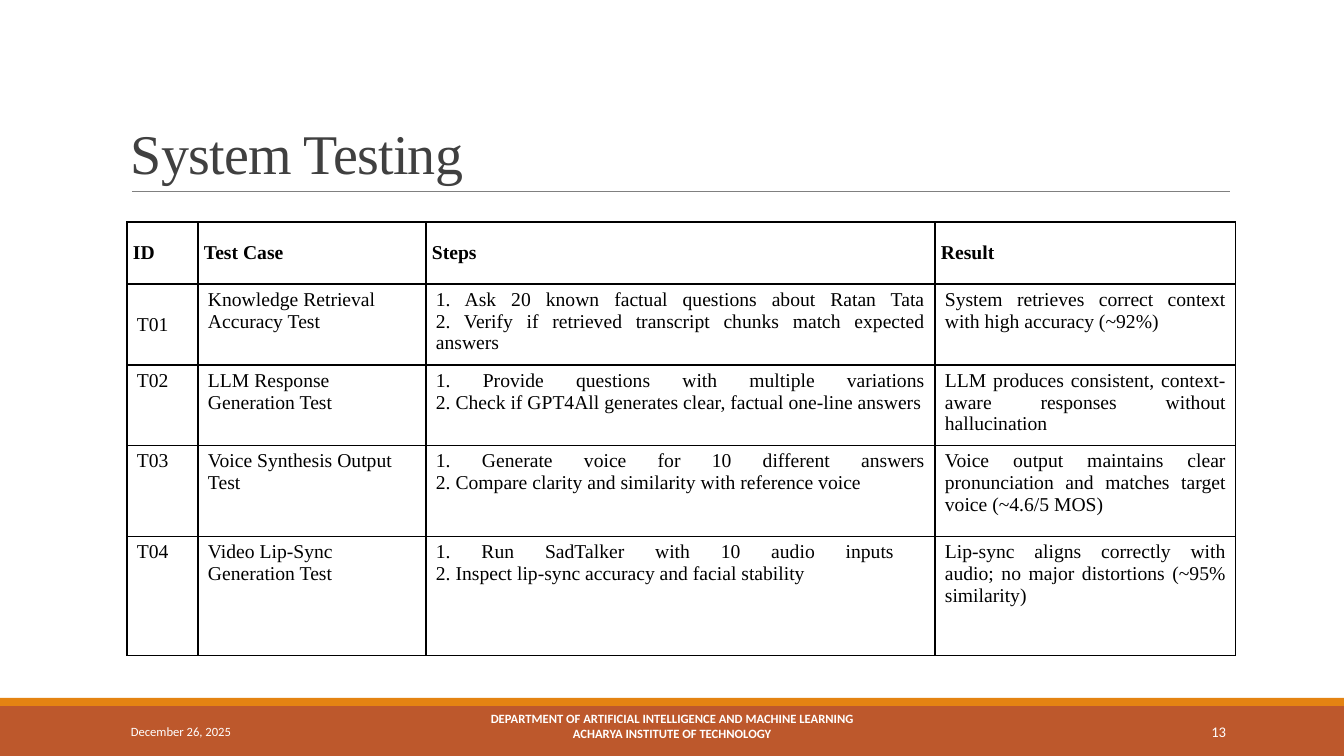
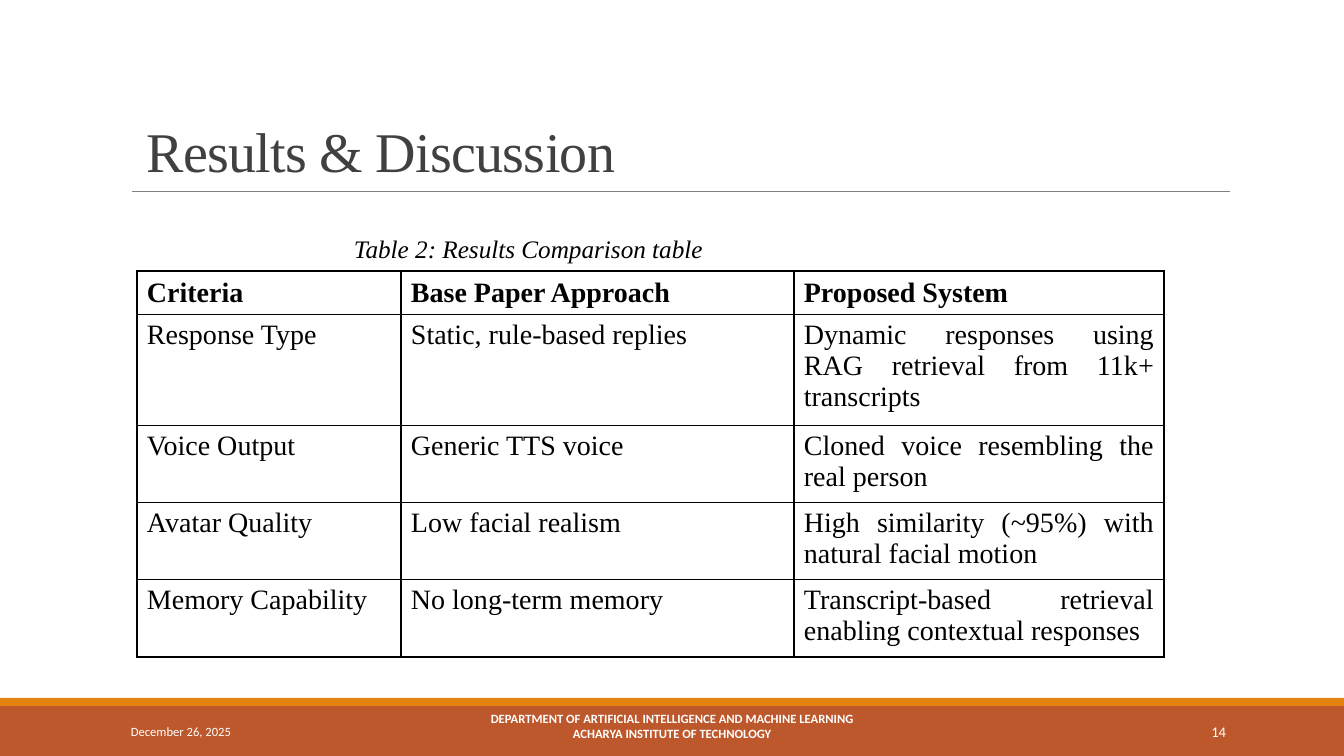
from copy import deepcopy

from lxml import etree
from pptx import Presentation
from pptx.dml.color import RGBColor
from pptx.enum.shapes import MSO_CONNECTOR, MSO_SHAPE
from pptx.enum.text import MSO_ANCHOR, PP_ALIGN
from pptx.oxml.ns import qn
from pptx.util import Emu, Pt

EMU_PER_PX = 914400 / 100.8
SLIDE_W, SLIDE_H = 1344, 756

RUST = RGBColor(0xBD, 0x58, 0x2C)
ORANGE = RGBColor(0xE4, 0x83, 0x12)
GREY = RGBColor(0x80, 0x80, 0x80)
CHARCOAL = RGBColor(0x40, 0x40, 0x40)
BLACK = RGBColor(0, 0, 0)
WHITE = RGBColor(0xFF, 0xFF, 0xFF)

LEFT, CENTER, RIGHT, JUSTIFY = PP_ALIGN.LEFT, PP_ALIGN.CENTER, PP_ALIGN.RIGHT, PP_ALIGN.JUSTIFY
TOP, MIDDLE, BOTTOM = MSO_ANCHOR.TOP, MSO_ANCHOR.MIDDLE, MSO_ANCHOR.BOTTOM
RECTANGLE, STRAIGHT = MSO_SHAPE.RECTANGLE, MSO_CONNECTOR.STRAIGHT

SERIF, SANS = "Times New Roman", "Calibri"
TITLE_FORMAT = {"name": SERIF, "size": Pt(40), "color": CHARCOAL}
CAPTION_FORMAT = {"name": SERIF, "size": Pt(18), "italic": True, "color": BLACK}
DATE_FORMAT = {"name": SANS, "size": Pt(9), "color": WHITE}
DEPARTMENT_FORMAT = {**DATE_FORMAT, "bold": True}
NUMBER_FORMAT = {**DATE_FORMAT, "size": Pt(10.5)}

DATE = "December 26, 2025"
DEPARTMENT = ("DEPARTMENT OF ARTIFICIAL INTELLIGENCE AND MACHINE LEARNING\n"
              "ACHARYA INSTITUTE OF TECHNOLOGY")

TEST_ROWS = [
    ("ID", "Test Case", "Steps", "Result"),
    ("T01", "Knowledge Retrieval Accuracy Test",
     "1. Ask 20 known factual questions about Ratan Tata\n"
     "2. Verify if retrieved transcript chunks match expected answers",
     "System retrieves correct context with high accuracy (~92%)"),
    ("T02", "LLM Response Generation Test",
     "1. Provide questions with multiple variations\n"
     "2. Check if GPT4All generates clear, factual one-line answers",
     "LLM produces consistent, context-aware responses without hallucination"),
    ("T03", "Voice Synthesis Output Test",
     "1. Generate voice for 10 different answers\n"
     "2. Compare clarity and similarity with reference voice",
     "Voice output maintains clear pronunciation and matches target voice (~4.6/5 MOS)"),
    ("T04", "Video Lip-Sync Generation Test",
     "1. Run SadTalker with 10 audio inputs \n"
     "2. Inspect lip-sync accuracy and facial stability",
     "Lip-sync aligns correctly with audio; no major distortions (~95% similarity)"),
]
RESULT_ROWS = [
    ("Criteria", "Base Paper Approach", "Proposed System"),
    ("Response Type", "Static, rule-based replies",
     "Dynamic responses using RAG retrieval from 11k+ transcripts"),
    ("Voice Output", "Generic TTS voice", "Cloned voice resembling the real person"),
    ("Avatar Quality", "Low facial realism",
     "High similarity (~95%) with natural facial motion"),
    ("Memory Capability", "No long-term memory",
     "Transcript-based retrieval enabling contextual responses"),
]


def px(length):
    return Emu(round(length * EMU_PER_PX))


def to_emu(box):
    return [px(length) for length in box]


def write_paragraph(paragraph, text, font_format, align):
    """Fill a paragraph; newlines become line breaks in the same format."""
    paragraph.text = text
    paragraph.alignment = align
    for run in paragraph.runs:
        for key, value in font_format.items():
            if key == "color":
                run.font.color.rgb = value
            else:
                setattr(run.font, key, value)
    for line_break in paragraph._p.findall(qn("a:br")):
        line_break.append(deepcopy(paragraph.runs[0]._r.rPr))


def add_text(slide, box, text, font_format, align=LEFT, anchor=MIDDLE):
    frame = slide.shapes.add_textbox(*to_emu(box)).text_frame
    frame.word_wrap = True
    frame.vertical_anchor = anchor
    write_paragraph(frame.paragraphs[0], text, font_format, align)
    return frame.paragraphs[0]


def add_band(slide, box, color):
    band = slide.shapes.add_shape(RECTANGLE, *to_emu(box))
    band.shadow.inherit = False
    band.fill.solid()
    band.fill.fore_color.rgb = color
    band.line.fill.background()


def add_title(slide, box, text):
    rule = slide.shapes.add_connector(STRAIGHT, *to_emu((132, 191, 1230, 191)))
    rule.line.color.rgb = GREY
    rule.line.width = Pt(0.5)
    etree.SubElement(rule._element.spPr, qn("a:effectLst"))
    title = add_text(slide, box, text, TITLE_FORMAT, anchor=BOTTOM)
    title.line_spacing = 0.85
    title.runs[0]._r.rPr.set("spc", "-50")


def add_footer(slide, box, number):
    left, top, width, height = box
    add_band(slide, box, RUST)
    add_band(slide, (left, top - 8, width, 8), ORANGE)
    add_text(slide, (left + 121, top + 6, 272, 40), DATE, DATE_FORMAT)
    add_text(slide, (left + 406, top, 532, 40), DEPARTMENT, DEPARTMENT_FORMAT, CENTER)
    add_text(slide, (left + 1092, top + 6, 144, 40), str(number), NUMBER_FORMAT, RIGHT)


def add_borders(cell):
    properties = cell._tc.get_or_add_tcPr()
    for index, side in enumerate(("lnL", "lnR", "lnT", "lnB")):
        border = etree.Element(qn(f"a:{side}"), w=str(Pt(1)))
        fill = etree.SubElement(border, qn("a:solidFill"))
        etree.SubElement(fill, qn("a:srgbClr"), val=str(BLACK))
        properties.insert(index, border)


def add_grid(slide, corner, widths, heights, rows, size, left_columns=(),
             header_margins=(10, 5), middle_cells=()):
    """Place a bordered table whose body is justified except in left_columns."""
    box = (*corner, sum(widths), sum(heights))
    table = slide.shapes.add_table(len(rows), len(widths), *to_emu(box)).table
    table.first_row = table.horz_banding = False
    for column, width in zip(table.columns, widths):
        column.width = px(width)
    for row, height in zip(table.rows, heights):
        row.height = px(height)
    for r, texts in enumerate(rows):
        across, down = header_margins if r == 0 else (10, 5)
        for c, text in enumerate(texts):
            cell = table.cell(r, c)
            cell.fill.background()
            add_borders(cell)
            cell_format = {
                "margin_left": px(across), "margin_right": px(across),
                "margin_top": px(down), "margin_bottom": px(down),
                "vertical_anchor": MIDDLE if r == 0 or (r, c) in middle_cells else TOP,
            }
            for key, value in cell_format.items():
                setattr(cell, key, value)
            font_format = {"name": SERIF, "size": Pt(size), "bold": r == 0, "color": BLACK}
            align = LEFT if r and c in left_columns else JUSTIFY
            write_paragraph(cell.text_frame.paragraphs[0], text, font_format, align)


def add_slide(deck, number, title, title_box):
    slide = deck.slides.add_slide(deck.slide_layouts[6])
    add_footer(slide, (0, 706, SLIDE_W, 50), number)
    add_title(slide, title_box, title)
    return slide


def build_testing(deck):
    slide = add_slide(deck, 13, "System Testing", (121, 31, 1109, 160))
    add_grid(slide, (127, 222), (71, 228, 509, 301), (62, 81, 78, 91, 119), TEST_ROWS, 14,
             left_columns=(1,), header_margins=(6, 3), middle_cells=((1, 0),))


def build_results(deck):
    slide = add_slide(deck, 14, "Results & Discussion", (137, 97, 1109, 92))
    add_grid(slide, (137, 271), (264, 393, 370), (41, 104, 72, 72, 72), RESULT_ROWS, 20)
    add_text(slide, (344, 228, 801, 40), "Table 2: Results Comparison table",
             CAPTION_FORMAT, anchor=TOP)


def main():
    deck = Presentation()
    deck.slide_width, deck.slide_height = px(SLIDE_W), px(SLIDE_H)
    build_testing(deck)
    build_results(deck)
    deck.save("out.pptx")


if __name__ == "__main__":
    main()
